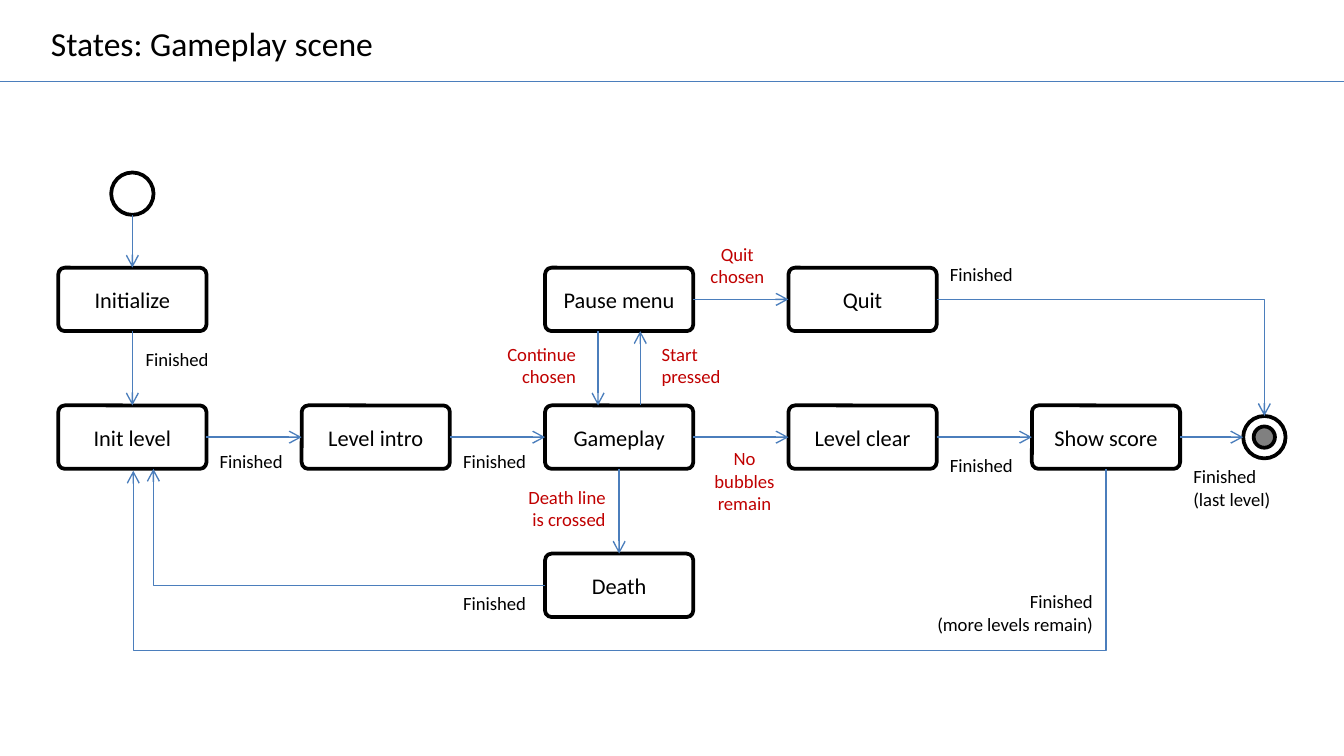
import pptx
import pptx.util
import pptx.dml.color
import pptx.enum.shapes
import pptx.enum.text
from lxml import etree
from pptx.oxml.ns import qn

Pt = pptx.util.Pt
Shape = pptx.enum.shapes.MSO_SHAPE
Link = pptx.enum.shapes.MSO_CONNECTOR
Align = pptx.enum.text.PP_ALIGN
Anchor = pptx.enum.text.MSO_ANCHOR

THEME = {
    "font": "Calibri", "title": 18, "state": 12, "label": 10,
    "ink": "000000", "event": "C00000", "arrow": "4B7EBC",
    "paper": "FFFFFF", "core": "808080", "edge": 2, "thin": 0.75,
}
TITLE = "States: Gameplay scene"

# Name: column, row
STATES = {
    "Initialize": (0, 0), "Pause menu": (2, 0), "Quit": (3, 0),
    "Init level": (0, 1), "Level intro": (1, 1), "Gameplay": (2, 1),
    "Level clear": (3, 1), "Show score": (4, 1), "Death": (2, 2),
}
# From, side, to, side, sideways shift
ARROWS = [
    ("start", "bottom", "Initialize", "top", 0),
    ("Initialize", "bottom", "Init level", "top", 0),
    ("Init level", "right", "Level intro", "left", 0),
    ("Level intro", "right", "Gameplay", "left", 0),
    ("Gameplay", "right", "Level clear", "left", 0),
    ("Level clear", "right", "Show score", "left", 0),
    ("Show score", "right", "end", "left", 0),
    ("Pause menu", "right", "Quit", "left", 0),
    ("Pause menu", "bottom", "Gameplay", "top", -11.3),
    ("Gameplay", "top", "Pause menu", "bottom", 11.3),
    ("Gameplay", "bottom", "Death", "top", 0),
]
# Text, left, top, width, alignment, colour
LABELS = [
    ("Finished", 70.9, 182.8, 48.8, "LEFT", "ink"),
    ("Finished", 110.6, 237.3, 48.8, "LEFT", "ink"),
    ("Finished", 241, 237.3, 48.8, "LEFT", "ink"),
    ("Finished", 241, 313.5, 48.8, "LEFT", "ink"),
    ("Finished", 501.8, 137.5, 48.8, "LEFT", "ink"),
    ("Finished", 501.8, 239.5, 48.8, "LEFT", "ink"),
    ("Finished\n(last level)", 632.2, 245.6, 56.3, "LEFT", "ink"),
    ("Finished\n(more levels remain)", 490.3, 312.7, 102.2, "RIGHT", "ink"),
    ("Start\npressed", 347.4, 180, 46.5, "LEFT", "event"),
    ("Continue\nchosen", 263.6, 180, 52, "RIGHT", "event"),
    ("Quit\nchosen", 373, 126.4, 44, "CENTER", "event"),
    ("Death line\nis crossed", 275.2, 256.7, 56.3, "RIGHT", "event"),
    ("No\nbubbles\nremain", 375.4, 236, 46.8, "CENTER", "event"),
]

LEFT, STEP, WIDE, HIGH = 31.2, 130.4, 79.4, 34
ROWS = (143.4, 217.2, 296.6)
RING, CORE = 22.7, 11.4
SIDES = {"left": (0, 0.5), "right": (1, 0.5), "top": (0.5, 0), "bottom": (0.5, 1)}
MID = LEFT + WIDE / 2

BOXES = {name: (LEFT + col * STEP, ROWS[row], WIDE, HIGH)
         for name, (col, row) in STATES.items()}
BOXES["start"] = (MID - RING / 2, 92.4, RING, RING)
BOXES["end"] = (666, ROWS[1] + (HIGH - RING) / 2, RING, RING)

deck = pptx.Presentation()
deck.slide_width, deck.slide_height = Pt(720), Pt(405)
slide = deck.slides.add_slide(deck.slide_layouts[6])


def tint(name):
    """Return a theme colour."""
    return pptx.dml.color.RGBColor.from_string(THEME[name])


def write(frame, text, size, align, color="ink"):
    """Fill a text frame with evenly styled paragraphs."""
    frame.text = text
    for para in frame.paragraphs:
        para.alignment = align
        para.font.name = THEME["font"]
        para.font.size = Pt(THEME[size])
        para.font.color.rgb = tint(color)


def solid(kind, box, fill="paper"):
    """Draw a filled shape with a heavy outline."""
    shape = slide.shapes.add_shape(kind, *map(Pt, box))
    shape.shadow.inherit = False
    shape.fill.solid()
    shape.fill.fore_color.rgb = tint(fill)
    shape.line.color.rgb = tint("ink")
    shape.line.width = Pt(THEME["edge"])
    return shape


def label(text, left, top, width, align, color="ink", size="label"):
    """Place a free text box sized to its lines."""
    high = 7.2 + 1.22 * THEME[size] * (text.count("\n") + 1)
    frame = slide.shapes.add_textbox(*map(Pt, (left, top, width, high))).text_frame
    frame.word_wrap = False
    frame.auto_size = pptx.enum.text.MSO_AUTO_SIZE.SHAPE_TO_FIT_TEXT
    write(frame, text, size, Align[align], color)


def spot(name, side, shift=0):
    """Return the point in the middle of a side, moved sideways."""
    x, y, w, h = BOXES[name]
    fx, fy = SIDES[side]
    return x + fx * w + shift, y + fy * h


def join(start, stop, kind=Link.STRAIGHT, head=True):
    """Draw a thin connector, with an arrowhead if asked."""
    line = slide.shapes.add_connector(kind, *map(Pt, start + stop))
    line.line.color.rgb = tint("arrow")
    line.line.width = Pt(THEME["thin"])
    props = line._element.spPr
    if head:
        etree.SubElement(props.find(qn("a:ln")), qn("a:tailEnd"), type="arrow")
    etree.SubElement(props, qn("a:effectLst"))
    return props


def bend(props, preset, ratio=None, turn=0):
    """Set the form, bend position and rotation of an elbow."""
    geom = props.find(qn("a:prstGeom"))
    geom.set("prst", preset)
    if ratio is not None:
        guides = geom.get_or_add_avLst()
        etree.SubElement(guides, qn("a:gd"), name="adj1",
                         fmla=f"val {round(ratio * 100000)}")
    if turn:
        props.find(qn("a:xfrm")).set("rot", str(turn * 60000))


label(TITLE, 20.2, 8.6, 198.7, "LEFT", size="title")
join((0, 43.7), (720, 43.7), head=False)

for name in STATES:
    box = solid(Shape.ROUNDED_RECTANGLE, BOXES[name])
    box.adjustments[0] = 0.104
    box.text_frame.vertical_anchor = Anchor.MIDDLE
    write(box.text_frame, name, "state", Align.CENTER)
for name in ("start", "end"):
    solid(Shape.OVAL, BOXES[name])
x, y = BOXES["end"][:2]
inset = (RING - CORE) / 2
solid(Shape.OVAL, (x + inset, y + inset, CORE, CORE), "core")

for source, out, target, into, shift in ARROWS:
    join(spot(source, out, shift), spot(target, into, shift))

bend(join(spot("Quit", "right"), spot("end", "top"), Link.ELBOW), "bentConnector2")
bend(join(spot("Death", "left"), spot("Init level", "bottom", 11.3), Link.ELBOW),
     "bentConnector3", 1)

# A quarter-turned elbow drops below both ends
right, low = spot("Show score", "bottom")
left = spot("Init level", "bottom", 0.5)[0]
span, thick, drop = right - left, 1, 98
cx, cy = (left + right) / 2, low + thick / 2
loop = join((cx - thick / 2, cy - span / 2), (cx + thick / 2, cy + span / 2), Link.ELBOW)
bend(loop, "bentConnector3", drop / thick, 90)

for item in LABELS:
    label(*item)

deck.save("out.pptx")
